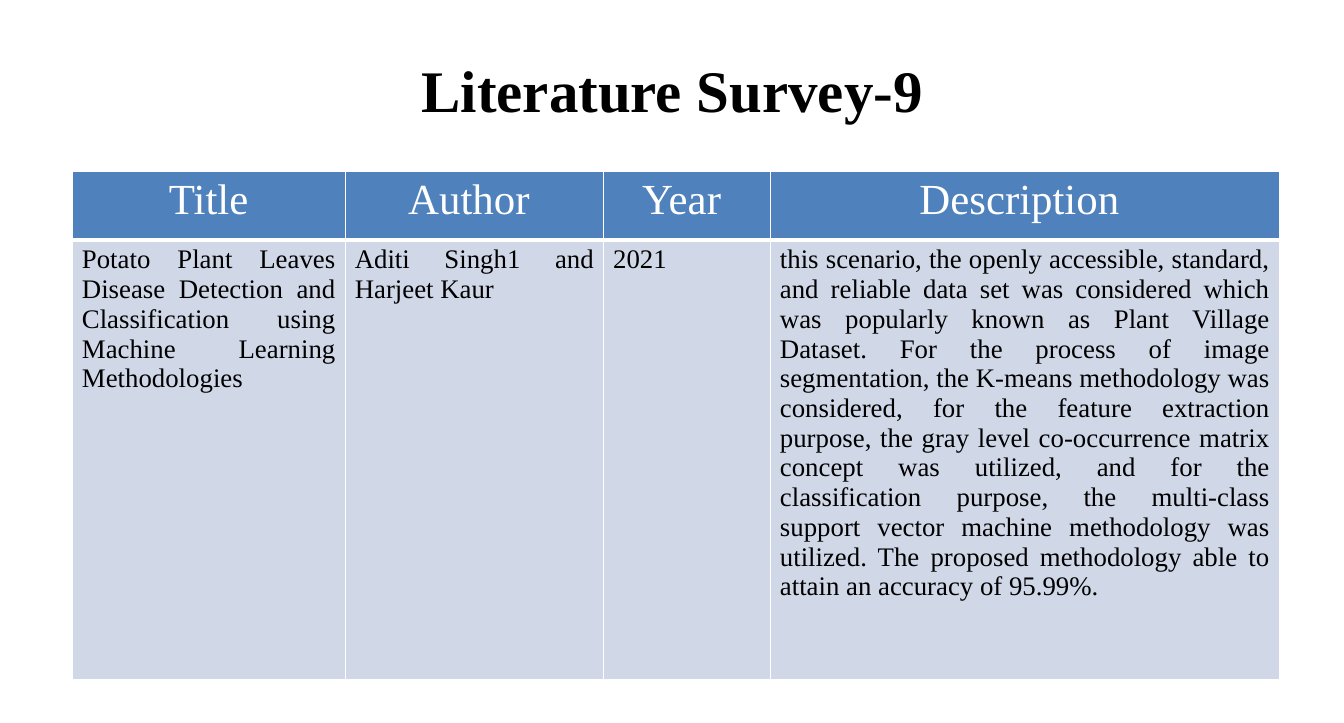
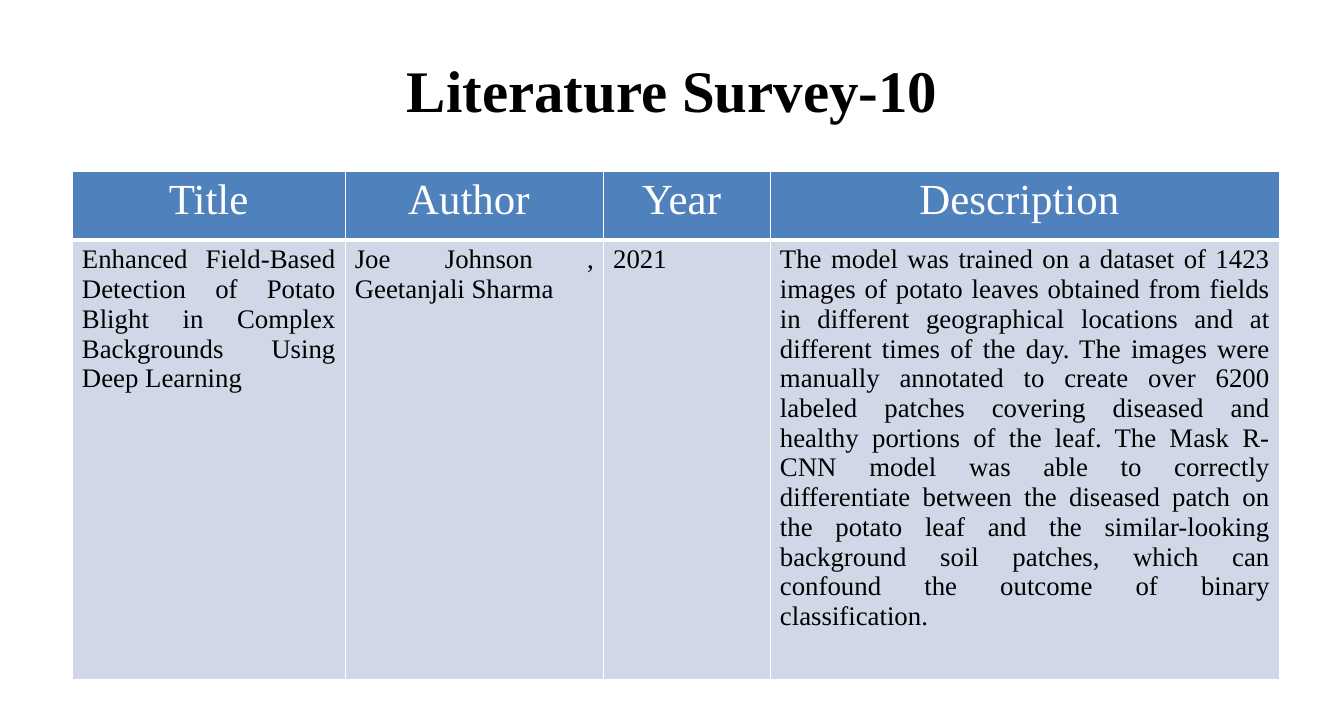
from dataclasses import dataclass

from lxml.etree import SubElement
from pptx import Presentation
from pptx.dml.color import RGBColor as RGB
from pptx.enum.text import MSO_ANCHOR as ANCHOR, PP_ALIGN as ALIGN
from pptx.oxml.ns import qn
from pptx.util import Pt


@dataclass(frozen=True)
class Theme:
    font: str = "Times New Roman"
    ink: str = "000000"
    paper: str = "FFFFFF"
    header_fill: str = "4F81BD"
    body_fill: str = "D0D8E8"
    title_size: int = 44
    header_size: int = 32
    body_size: int = 20
    thin: int = 1
    thick: int = 3


THEME = Theme()
SLIDE_SIZE = (1003.68, 540)
TITLE_BOX = (50.4, 21.6, 903.6, 90)
TABLE_ORIGIN = (54, 128.2)
COLUMN_WIDTHS = (203.76, 192.96, 124.56, 380.16)
ROW_HEIGHTS = (51.12, 328.32)
HEADERS = ("Title", "Author ", "Year ", "Description ")

SURVEYS = (
    (
        "Literature Survey-9",
        (
            "Potato Plant Leaves Disease Detection and Classification using "
            "Machine Learning Methodologies",
            "Aditi Singh1 and Harjeet Kaur",
            "2021",
            "this scenario, the openly accessible, standard, and reliable data set "
            "was considered which was popularly known as Plant Village Dataset. "
            "For the process of image segmentation, the K-means methodology was "
            "considered, for the feature extraction purpose, the gray level "
            "co-occurrence matrix concept was utilized, and for the classification "
            "purpose, the multi-class support vector machine methodology was "
            "utilized. The proposed methodology able to attain an accuracy of 95.99%.",
        ),
    ),
    (
        "Literature Survey-10",
        (
            "Enhanced Field-Based Detection of Potato Blight in Complex "
            "Backgrounds Using Deep Learning",
            "Joe Johnson , Geetanjali Sharma",
            "2021",
            "The model was trained on a dataset of 1423 images of potato leaves "
            "obtained from fields in different geographical locations and at "
            "different times of the day. The images were manually annotated to "
            "create over 6200 labeled patches covering diseased and healthy "
            "portions of the leaf. The Mask R-CNN model was able to correctly "
            "differentiate between the diseased patch on the potato leaf and the "
            "similar-looking background soil patches, which can confound the "
            "outcome of binary classification.",
        ),
    ),
)


def set_text(tf, text, size, color, align, bold=False):
    tf.text = text
    tf.word_wrap = True
    p = tf.paragraphs[0]
    p.alignment = align
    font = p.runs[0].font
    font.name = THEME.font
    font.size = Pt(size)
    font.bold = bold
    font.color.rgb = RGB.from_string(color)


def set_borders(cell, top, bottom):
    tc_pr = cell._tc.get_or_add_tcPr()
    widths = {"L": THEME.thin, "R": THEME.thin, "T": top, "B": bottom}
    for i, (side, width) in enumerate(widths.items()):
        ln = SubElement(tc_pr, qn(f"a:ln{side}"), w=str(Pt(width)))
        fill = SubElement(ln, qn("a:solidFill"))
        SubElement(fill, qn("a:srgbClr"), val=THEME.paper)
        tc_pr.insert(i, ln)


def add_title(s, text):
    tf = s.shapes.add_textbox(*map(Pt, TITLE_BOX)).text_frame
    tf.vertical_anchor = ANCHOR.MIDDLE
    set_text(tf, text, THEME.title_size, THEME.ink, ALIGN.CENTER, bold=True)


def fill_row(row, texts, fill, top, bottom, **style):
    for cell, text in zip(row.cells, texts):
        set_text(cell.text_frame, text, **style)
        cell.fill.solid()
        cell.fill.fore_color.rgb = RGB.from_string(fill)
        set_borders(cell, top, bottom)


def add_survey_table(s, entry):
    size = (sum(COLUMN_WIDTHS), sum(ROW_HEIGHTS))
    table = s.shapes.add_table(
        len(ROW_HEIGHTS), len(COLUMN_WIDTHS), *map(Pt, TABLE_ORIGIN + size)
    ).table
    for column, width in zip(table.columns, COLUMN_WIDTHS):
        column.width = Pt(width)
    for row, height in zip(table.rows, ROW_HEIGHTS):
        row.height = Pt(height)
    fill_row(table.rows[0], HEADERS, THEME.header_fill, THEME.thin, THEME.thick,
             size=THEME.header_size, color=THEME.paper, align=ALIGN.CENTER)
    fill_row(table.rows[1], entry, THEME.body_fill, THEME.thick, THEME.thin,
             size=THEME.body_size, color=THEME.ink, align=ALIGN.JUSTIFY)


def main():
    prs = Presentation()
    prs.slide_width, prs.slide_height = map(Pt, SLIDE_SIZE)
    for title, entry in SURVEYS:
        s = prs.slides.add_slide(prs.slide_layouts[6])
        add_title(s, title)
        add_survey_table(s, entry)
    prs.save("out.pptx")


if __name__ == "__main__":
    main()
